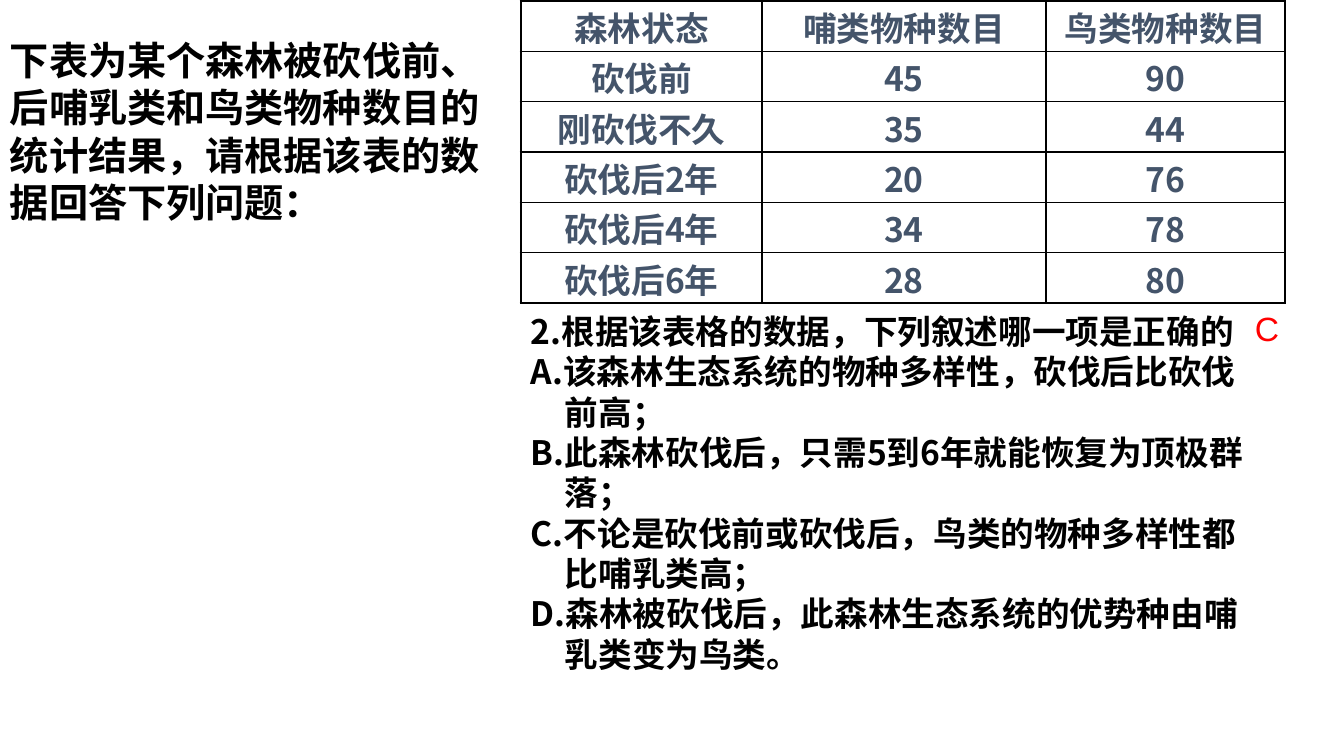
"""Build the slide on species counts before and after forest felling."""
from dataclasses import dataclass
from typing import Any

from lxml.etree import SubElement
from pptx import Presentation
from pptx.dml.color import RGBColor
from pptx.enum.text import MSO_ANCHOR as Anchor, PP_ALIGN as Align
from pptx.oxml.ns import qn
from pptx.util import Pt

EMU_PER_PX = 914400 / 100.8
COLOURS = {"text": "000000", "table": "44546A", "answer": "FF0000", "border": "000000"}
CJK = "Noto Sans CJK SC"
THIN, THICK = 1, 2.25

COLUMN_WIDTHS = (241, 284, 239)
TABLE_LEFT, TABLE_TOP, TABLE_HEIGHT = 521, 1, 302
SPECIES = (
    ("森林状态", "哺类物种数目", "鸟类物种数目"),
    ("砍伐前", "45", "90"),
    ("刚砍伐不久", "35", "44"),
    ("砍伐后2年", "20", "76"),
    ("砍伐后4年", "34", "78"),
    ("砍伐后6年", "28", "80"),
)


@dataclass(frozen=True)
class Style:
    size: int
    colour: str
    font: str = CJK
    bold: bool = True
    line_spacing: float | None = None
    alignment: Any = Align.LEFT


@dataclass(frozen=True)
class Line:
    text: str
    indent: int = 0


@dataclass(frozen=True)
class TextBlock:
    left: int
    top: int
    width: int
    height: int
    lines: tuple[Line, ...]
    style: Style


TABLE_STYLE = Style(24, "table", line_spacing=28, alignment=Align.CENTER)
HANGING = 34
BLOCKS = (
    TextBlock(521, 306, 816, 460 - 20, (
        Line("2.根据该表格的数据，下列叙述哪一项是正确的"),
        Line("A.该森林生态系统的物种多样性，砍伐后比砍伐"),
        Line("前高；", HANGING),
        Line("B.此森林砍伐后，只需5到6年就能恢复为顶极群"),
        Line("落；", HANGING),
        Line("C.不论是砍伐前或砍伐后，鸟类的物种多样性都"),
        Line("比哺乳类高；", HANGING),
        Line("D.森林被砍伐后，此森林生态系统的优势种由哺"),
        Line("乳类变为鸟类。", HANGING),
    ), Style(24, "text", line_spacing=28.8)),
    TextBlock(1245, 303, 98, 50, (Line("C"),), Style(24, "answer", "Arial", False)),
    TextBlock(0, 31, 521, 201, (
        Line("下表为某个森林被砍伐前、后哺乳类和鸟类物种数目的统计结果，请根据该表的数据回答下列问题："),
    ), Style(28, "text", line_spacing=33.8)),
)


def emu(px: int) -> int:
    return round(px * EMU_PER_PX)


def apply_format(target: Any, values: dict[str, Any]) -> None:
    for name, value in values.items():
        setattr(target, name, value)


def write_line(paragraph: Any, line: Line, style: Style) -> None:
    if line.indent:
        paragraph._p.get_or_add_pPr().set("marL", str(emu(line.indent)))
    apply_format(paragraph, {
        "alignment": style.alignment,
        "line_spacing": Pt(style.line_spacing) if style.line_spacing else None,
        "space_before": Pt(0),
    })
    run = paragraph.add_run()
    run.text = line.text
    apply_format(run.font, {"size": Pt(style.size), "bold": style.bold, "name": style.font})
    run.font.color.rgb = RGBColor.from_string(COLOURS[style.colour])
    SubElement(run._r.get_or_add_rPr(), qn("a:ea")).set("typeface", style.font)


def add_text(slide: Any, block: TextBlock) -> None:
    box = slide.shapes.add_textbox(*map(emu, (block.left, block.top, block.width, block.height)))
    frame = box.text_frame
    frame.word_wrap = True
    for index, line in enumerate(block.lines):
        paragraph = frame.add_paragraph() if index else frame.paragraphs[0]
        write_line(paragraph, line, block.style)


def set_borders(cell: Any, widths: dict[str, float]) -> None:
    properties = cell._tc.get_or_add_tcPr()
    for position, (side, width) in enumerate(widths.items()):
        border = SubElement(properties, qn(f"a:ln{side}"), w=str(Pt(width)))
        fill = SubElement(border, qn("a:solidFill"))
        SubElement(fill, qn("a:srgbClr"), val=COLOURS["border"])
        properties.insert(position, border)


def add_species_table(slide: Any) -> None:
    row_count, column_count = len(SPECIES), len(COLUMN_WIDTHS)
    frame = slide.shapes.add_table(row_count, column_count, *map(
        emu, (TABLE_LEFT, TABLE_TOP, sum(COLUMN_WIDTHS), TABLE_HEIGHT)))
    table = frame.table
    apply_format(table, {"first_row": False, "horz_banding": False})
    for column, width in zip(table.columns, COLUMN_WIDTHS):
        column.width = emu(width)
    for row_index, values in enumerate(SPECIES):
        table.rows[row_index].height = emu(TABLE_HEIGHT) // row_count
        for column_index, value in enumerate(values):
            cell = table.cell(row_index, column_index)
            apply_format(cell, {"margin_top": emu(11), "margin_bottom": 0,
                                "vertical_anchor": Anchor.TOP})
            cell.fill.background()
            write_line(cell.text_frame.paragraphs[0], Line(value), TABLE_STYLE)
            set_borders(cell, {
                "L": THICK if column_index == 0 else THIN,
                "R": THICK if column_index == column_count - 1 else THIN,
                "T": THICK if row_index == 0 else THIN,
                "B": THICK if row_index == row_count - 1 else THIN,
            })


def main() -> None:
    presentation = Presentation()
    apply_format(presentation, {"slide_width": emu(1344), "slide_height": emu(756)})
    slide = presentation.slides.add_slide(presentation.slide_layouts[6])
    question, answer, introduction = BLOCKS
    add_text(slide, question)
    add_text(slide, answer)
    add_species_table(slide)
    add_text(slide, introduction)
    presentation.save("out.pptx")


if __name__ == "__main__":
    main()
